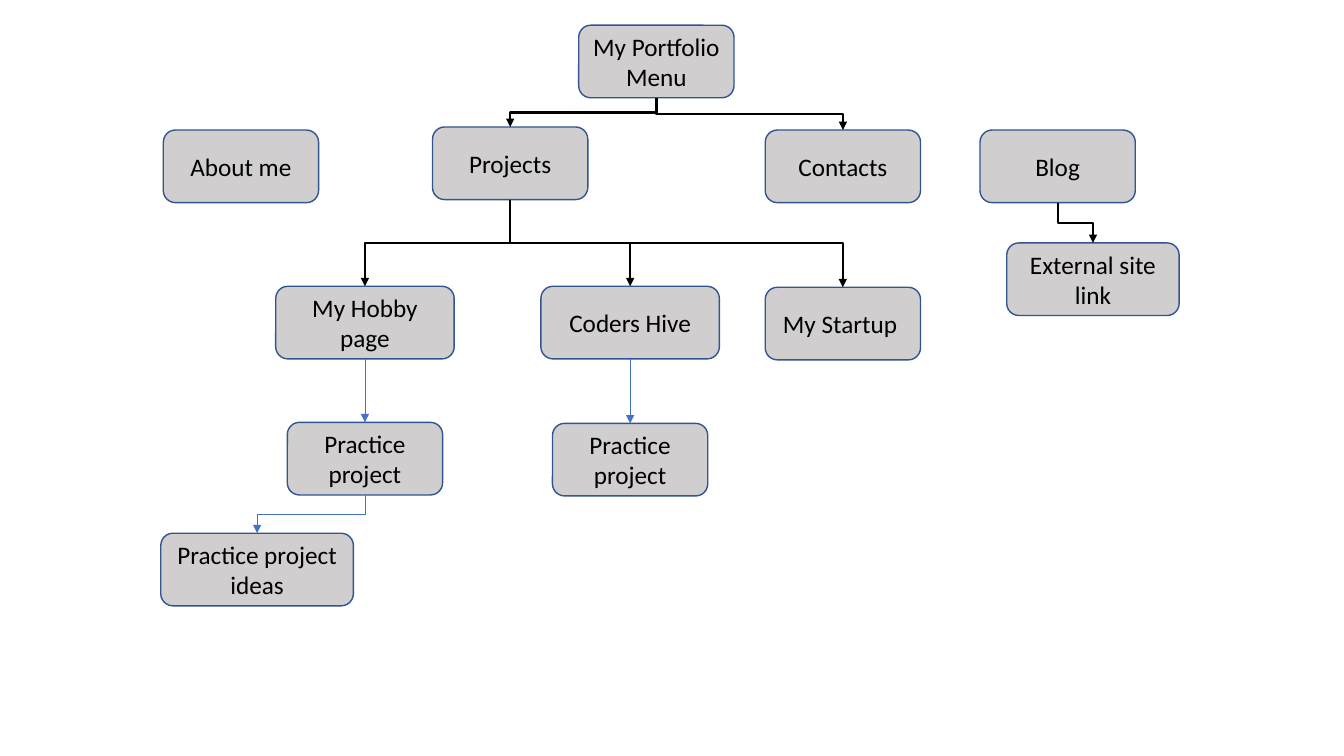
from pptx import Presentation
from pptx.dml.color import RGBColor
from pptx.enum.shapes import MSO_CONNECTOR as CONNECTOR, MSO_SHAPE as SHAPE
from pptx.enum.text import MSO_ANCHOR as ANCHOR, PP_ALIGN as ALIGN
from pptx.oxml.ns import qn
from pptx.util import Inches, Pt
from lxml.etree import SubElement

COLORS = {"page": "D0CECE", "border": "325491", "text": "000000",
          "menu_link": "000000", "practice_link": "4472C4"}
PAGE_HEIGHT = 0.72
PAGE_WIDTH = 1.54
TOP_SITE, BOTTOM_SITE = 0, 2

# key: (label, centre x, top, width)
PAGES = {
    "menu": ("My Portfolio\nMenu", 6.51, 0.25, PAGE_WIDTH),
    "blog": ("Blog", 10.49, 1.29, PAGE_WIDTH),
    "contacts": ("Contacts", 8.36, 1.29, PAGE_WIDTH),
    "projects": ("Projects", 5.06, 1.26, PAGE_WIDTH),
    "about": ("About me", 2.39, 1.29, PAGE_WIDTH),
    "startup": ("My Startup ", 8.36, 2.85, PAGE_WIDTH),
    "coders": ("Coders Hive", 6.25, 2.84, 1.77),
    "hobby": ("My Hobby page", 3.62, 2.84, 1.77),
    "coders_practice": ("Practice project", 6.25, 4.2, PAGE_WIDTH),
    "external": ("External site link", 10.84, 2.41, 1.71),
    "hobby_practice": ("Practice project", 3.62, 4.19, PAGE_WIDTH),
    "ideas": ("Practice project ideas", 2.55, 5.29, 1.91),
}

# parent, child, colour, line width
LINKS = [
    ("menu", "contacts", "menu_link", 1.5),
    ("menu", "projects", "menu_link", 1.75),
    ("projects", "hobby", "menu_link", 1.5),
    ("projects", "coders", "menu_link", 1.5),
    ("projects", "startup", "menu_link", 1.5),
    ("hobby", "hobby_practice", "practice_link", 0.5),
    ("hobby_practice", "ideas", "practice_link", 0.5),
    ("coders", "coders_practice", "practice_link", 0.5),
    ("blog", "external", "menu_link", 1.5),
]


def rgb(name):
    """Return the named colour."""
    return RGBColor.from_string(COLORS[name])


def add_page(slide, label, center_x, top, width):
    """Add one rounded site-map page with a centred label."""
    page = slide.shapes.add_shape(
        SHAPE.ROUNDED_RECTANGLE, Inches(center_x - width / 2), Inches(top),
        Inches(width), Inches(PAGE_HEIGHT))
    page.shadow.inherit = False
    page.fill.solid()
    page.fill.fore_color.rgb = rgb("page")
    page.line.color.rgb = rgb("border")
    page.line.width = Pt(1)
    frame = page.text_frame
    frame.word_wrap = True
    frame.vertical_anchor = ANCHOR.MIDDLE
    frame.text = label
    for paragraph in frame.paragraphs:
        paragraph.alignment = ALIGN.CENTER
        paragraph.font.name = "Calibri"
        paragraph.font.size = Pt(18)
        paragraph.font.color.rgb = rgb("text")
    return page


def turn_downward(link, start_x, start_y, end_x, end_y):
    """Rotate an elbow so that it leaves and arrives vertically."""
    drop, shift = end_y - start_y, abs(end_x - start_x)
    link.left = (start_x + end_x - drop) // 2
    link.top = (start_y + end_y - shift) // 2
    link.width, link.height = drop, shift
    goes_right = end_x > start_x
    xfrm = link._element.spPr.find(qn("a:xfrm"))
    xfrm.set("rot", str((270 if goes_right else 90) * 60000))
    xfrm.set("flipH", "1" if goes_right else "0")


def add_link(slide, parent, child, color, width):
    """Add an arrow from a page's bottom to its subpage's top."""
    start_x, start_y = parent.left + parent.width // 2, parent.top + parent.height
    end_x, end_y = child.left + child.width // 2, child.top
    straight = abs(end_x - start_x) < Inches(0.01)
    kind = CONNECTOR.STRAIGHT if straight else CONNECTOR.ELBOW
    link = slide.shapes.add_connector(kind, start_x, start_y, end_x, end_y)
    link.begin_connect(parent, BOTTOM_SITE)
    link.end_connect(child, TOP_SITE)
    if not straight:
        turn_downward(link, start_x, start_y, end_x, end_y)
    link.line.color.rgb = rgb(color)
    link.line.width = Pt(width)
    SubElement(link.line._get_or_add_ln(), qn("a:tailEnd"), type="triangle")
    SubElement(link._element.spPr, qn("a:effectLst"))


def main():
    """Build the site-map slide."""
    deck = Presentation()
    deck.slide_width, deck.slide_height = Inches(13.33), Inches(7.5)
    slide = deck.slides.add_slide(deck.slide_layouts[6])
    pages = {key: add_page(slide, *page) for key, page in PAGES.items()}
    for parent, child, color, width in LINKS:
        add_link(slide, pages[parent], pages[child], color, width)
    deck.save("out.pptx")


main()
